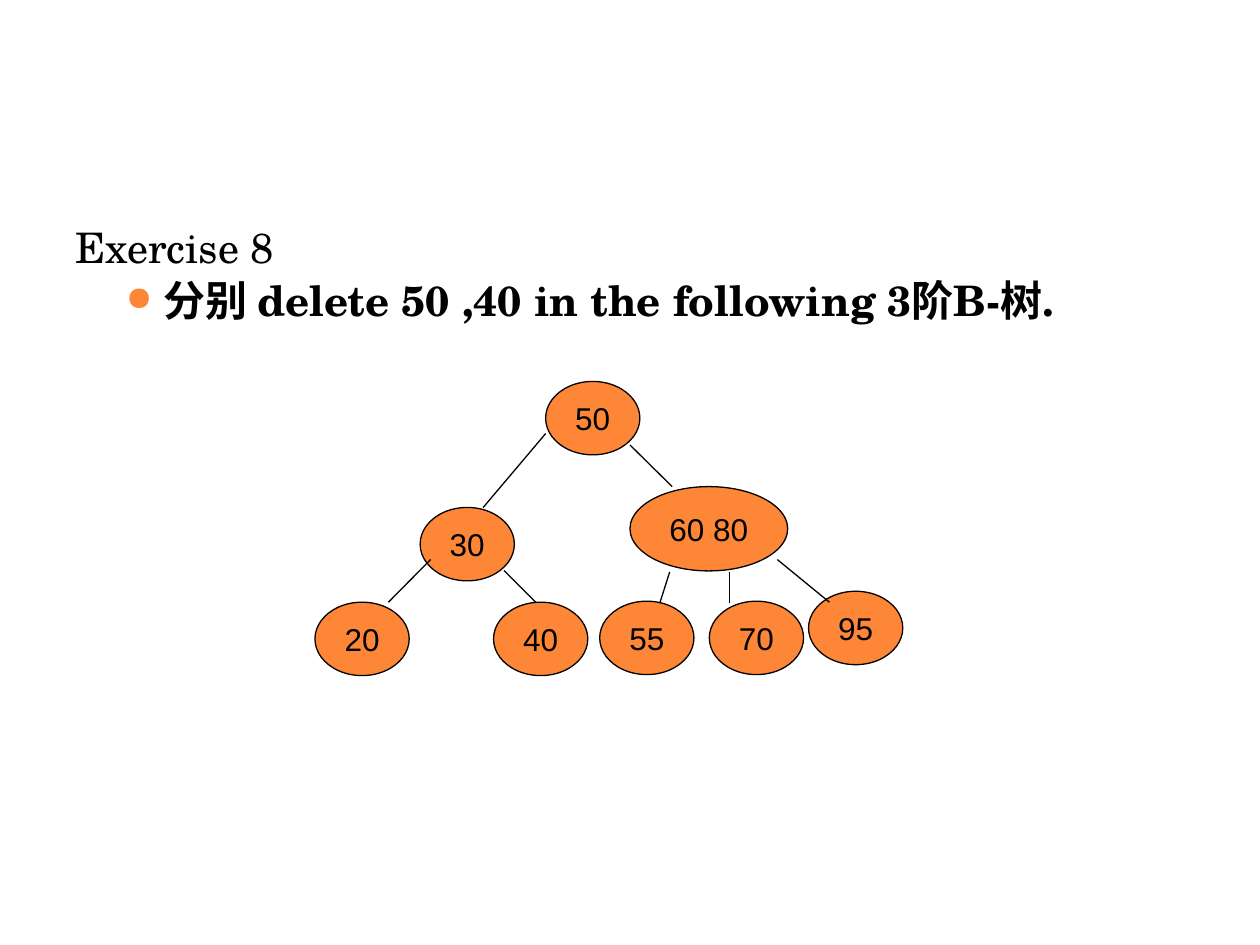
from lxml.etree import SubElement
from pptx import Presentation
from pptx.dml.color import RGBColor
from pptx.enum.shapes import MSO_CONNECTOR, MSO_SHAPE
from pptx.enum.text import MSO_ANCHOR, PP_ALIGN
from pptx.oxml.ns import qn
from pptx.util import Cm, Pt

COLORS = {"text": "000000", "line": "000000", "accent": "FE8637", "background": "FFFFFF"}
NODE_SIZE = (1.9, 1.48)
WIDE_NODE_SIZE = (3.18, 1.7)

# Label, left, top, size
NODES = [
    ("50", 11, 7.69, NODE_SIZE),
    ("60 80", 12.7, 9.81, WIDE_NODE_SIZE),
    ("30", 8.47, 10.23, NODE_SIZE),
    ("20", 6.35, 12.14, NODE_SIZE),
    ("40", 9.95, 12.14, NODE_SIZE),
    ("55", 12.09, 12.12, NODE_SIZE),
    ("70", 14.3, 12.12, NODE_SIZE),
    ("95", 16.3, 11.92, NODE_SIZE),
]

# Parent end, child end
EDGES = [
    ((11, 8.74), (9.74, 10.23)),
    ((12.7, 8.97), (13.55, 9.81)),
    ((8.68, 11.28), (7.83, 12.14)),
    ((10.16, 11.5), (10.8, 12.14)),
    ((13.5, 11.53), (13.3, 12.16)),
    ((14.71, 11.53), (14.71, 12.16)),
    ((15.67, 11.28), (16.72, 12.14)),
]


def color(name):
    return RGBColor.from_string(COLORS[name])


class TreeSlide:
    """Holds the slide and the style shared by its elements."""

    text_font = "TeX Gyre Schola"
    node_font = "Arial"
    text_size = Pt(24)
    node_size = Pt(18)
    line_width = Pt(0.75)

    def __init__(self, presentation):
        self.slide = presentation.slides.add_slide(presentation.slide_layouts[6])
        background = self.slide.background.fill
        background.solid()
        background.fore_color.rgb = color("background")

    def add_run(self, paragraph, text, font, size, bold=False):
        run = paragraph.add_run()
        run.text = text
        run.font.name = font
        run.font.size = size
        run.font.bold = bold
        run.font.color.rgb = color("text")

    def add_bullet(self, paragraph, left, hanging):
        properties = paragraph._p.get_or_add_pPr()
        properties.set("marL", str(Cm(left)))
        properties.set("indent", str(-Cm(hanging)))
        bullet_color = SubElement(properties, qn("a:buClr"))
        SubElement(bullet_color, qn("a:srgbClr"), val=COLORS["accent"])
        SubElement(properties, qn("a:buSzPct"), val="80000")
        SubElement(properties, qn("a:buChar"), char="●")

    def add_exercise(self, title, task):
        shape = self.slide.shapes.add_textbox(Cm(1.27), Cm(4.45), Cm(20.75), Cm(13.54))
        frame = shape.text_frame
        frame.word_wrap = True
        heading = frame.paragraphs[0]
        heading.line_spacing = 0.9
        self.add_run(heading, title, self.text_font, self.text_size)
        item = frame.add_paragraph()
        self.add_bullet(item, left=1.78, hanging=0.76)
        item.line_spacing = 0.9
        item.space_before = Pt(4.8)
        self.add_run(item, task, self.text_font, self.text_size, bold=True)

    def add_node(self, label, left, top, size):
        width, height = size
        shape = self.slide.shapes.add_shape(
            MSO_SHAPE.OVAL, Cm(left), Cm(top), Cm(width), Cm(height))
        shape.shadow.inherit = False
        shape.fill.solid()
        shape.fill.fore_color.rgb = color("accent")
        shape.line.color.rgb = color("line")
        shape.line.width = self.line_width
        frame = shape.text_frame
        frame.word_wrap = False
        frame.vertical_anchor = MSO_ANCHOR.MIDDLE
        paragraph = frame.paragraphs[0]
        paragraph.alignment = PP_ALIGN.CENTER
        self.add_run(paragraph, label, self.node_font, self.node_size)

    def add_edge(self, start, end):
        points = [Cm(value) for value in (*start, *end)]
        connector = self.slide.shapes.add_connector(MSO_CONNECTOR.STRAIGHT, *points)
        connector.line.color.rgb = color("line")
        connector.line.width = self.line_width
        SubElement(connector._element.spPr, qn("a:effectLst"))


def main():
    presentation = Presentation()
    presentation.slide_width = Cm(25.4)
    presentation.slide_height = Cm(19.05)
    tree = TreeSlide(presentation)
    tree.add_exercise("Exercise 8", "分别 delete 50 ,40 in the following 3阶B-树.")
    for node in NODES:
        tree.add_node(*node)
    for edge in EDGES:
        tree.add_edge(*edge)
    presentation.save("out.pptx")


if __name__ == "__main__":
    main()
